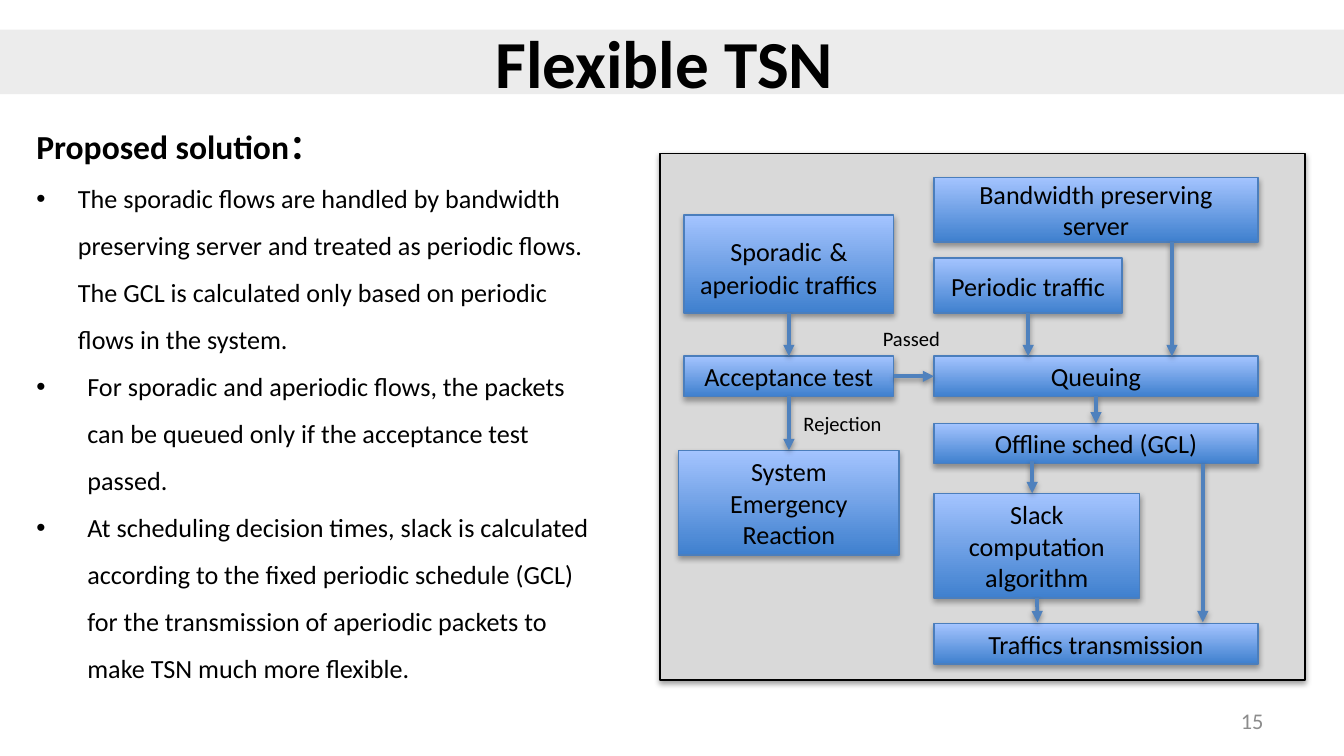
import pptx
import pptx.dml.color
import pptx.enum.shapes
import pptx.enum.text
import pptx.oxml
import pptx.oxml.ns
import pptx.util
from pptx.util import Inches

COLORS = {
    "text": "000000", "number": "8C8C8C", "band": "A6A6A6", "panel": "D9D9D9",
    "box_low": "3F80CE", "box_high": "A4C4FF", "box_line": "4B7EBC", "arrow": "4F81BD",
}
FONT = "Calibri"
TOP, LEFT, BOTTOM, RIGHT = range(4)
ALIGN = pptx.enum.text.PP_ALIGN
MIDDLE = pptx.enum.text.MSO_ANCHOR.MIDDLE
qn = pptx.oxml.ns.qn


def rgb(name):
    return pptx.dml.color.RGBColor.from_string(COLORS[name])


def element(xml):
    tag, rest = xml.split(" ", 1)
    return pptx.oxml.parse_xml(f"{tag} {pptx.oxml.ns.nsdecls('a')} {rest}")


class SlideBuilder:
    def __init__(self, slide):
        self.slide = slide

    def format_runs(self, paragraph, size, color="text", bold=False):
        for run in paragraph.runs:
            run.font.name = FONT
            run.font.size = pptx.util.Pt(size)
            run.font.bold = bold
            run.font.color.rgb = rgb(color)

    def place(self, shape, left, top, width, height):
        shape.left, shape.top = Inches(left), Inches(top)
        shape.width, shape.height = Inches(width), Inches(height)

    def add_shadow(self, shape, distance, alpha):
        properties = shape._element.spPr
        for old in properties.findall(qn("a:effectLst")):
            properties.remove(old)
        properties.append(element(
            f'<a:effectLst ><a:outerShdw blurRad="{pptx.util.Pt(3.1)}" '
            f'dist="{pptx.util.Pt(distance)}" dir="5400000" rotWithShape="0">'
            f'<a:srgbClr val="000000"><a:alpha val="{alpha * 1000}"/></a:srgbClr>'
            '</a:outerShdw></a:effectLst>'))

    def title(self, text, *position):
        title = self.slide.shapes.title
        self.place(title, *position)
        title.fill.solid()
        title.fill.fore_color.rgb = rgb("band")
        fill_color = title._element.spPr.find(qn("a:solidFill"))[0]
        fill_color.append(element('<a:alpha val="21000"/>'))
        frame = title.text_frame
        frame.text = text
        frame.auto_size = pptx.enum.text.MSO_AUTO_SIZE.NONE
        frame.vertical_anchor = MIDDLE
        frame.paragraphs[0].alignment = ALIGN.CENTER
        self.format_runs(frame.paragraphs[0], 36, bold=True)

    def body(self, heading, items, *position):
        body = self.slide.placeholders[1]
        self.place(body, *position)
        frame = body.text_frame
        frame.text = "\n".join([heading] + [text for text, _ in items])
        frame.auto_size = pptx.enum.text.MSO_AUTO_SIZE.NONE
        indents = [0] + [indent for _, indent in items]
        for paragraph, indent in zip(frame.paragraphs, indents):
            paragraph.line_spacing = 1.5
            paragraph.space_before = pptx.util.Pt(0)
            properties = paragraph._p.get_or_add_pPr()
            properties.set("marL", str(Inches(indent)))
            properties.set("indent", str(-Inches(indent)))
            bullet = '<a:buChar char="•"/>' if indent else "<a:buNone />"
            properties.append(element(bullet))
            self.format_runs(paragraph, 14 if indent else 18, bold=not indent)

    def label(self, text, *position, size=11, color="text", align=ALIGN.LEFT, wrap=True):
        box = self.slide.shapes.add_textbox(*map(Inches, position))
        frame = box.text_frame
        frame.text = text
        frame.word_wrap = wrap
        frame.paragraphs[0].alignment = align
        self.format_runs(frame.paragraphs[0], size, color)
        return box

    def rectangle(self, *position, line):
        shape = self.slide.shapes.add_shape(
            pptx.enum.shapes.MSO_SHAPE.RECTANGLE, *map(Inches, position))
        shape.shadow.inherit = False
        shape.line.color.rgb = rgb(line)
        shape.line.width = pptx.util.Pt(0.75)
        return shape

    def panel(self, *position):
        panel = self.rectangle(*position, line="text")
        panel.fill.solid()
        panel.fill.fore_color.rgb = rgb("panel")
        self.add_shadow(panel, 1.6, 38)

    def box(self, text, *position, more=()):
        box = self.rectangle(*position, line="box_line")
        box.fill.gradient()
        box.fill.gradient_angle = 90
        for stop, color in zip(box.fill.gradient_stops, ("box_low", "box_high")):
            stop.color.rgb = rgb(color)
        self.add_shadow(box, 1.8, 35)
        frame = box.text_frame
        frame.text = text
        frame.word_wrap = True
        frame.vertical_anchor = MIDDLE
        paragraph = frame.paragraphs[0]
        paragraph.alignment = ALIGN.CENTER
        for part in more:
            paragraph.add_run().text = part
        self.format_runs(paragraph, 14)
        return box

    def arrow(self, x1, y1, x2, y2, start=None, end=None):
        arrow = self.slide.shapes.add_connector(
            pptx.enum.shapes.MSO_CONNECTOR.STRAIGHT, *map(Inches, (x1, y1, x2, y2)))
        if start:
            arrow.begin_connect(*start)
        if end:
            arrow.end_connect(*end)
        arrow.line.color.rgb = rgb("arrow")
        arrow.line.width = pptx.util.Pt(2)
        arrow._element.spPr.find(qn("a:ln")).append(element('<a:tailEnd type="triangle"/>'))
        self.add_shadow(arrow, 1.6, 38)


def main():
    presentation = pptx.Presentation()
    presentation.slide_width = Inches(10)
    presentation.slide_height = Inches(10) * 9 // 16
    builder = SlideBuilder(presentation.slides.add_slide(presentation.slide_layouts[1]))

    # Title, explanation and slide number
    builder.title("Flexible TSN ", 0, 0.22, 10, 0.48)
    builder.body("Proposed solution：", [
        ("The sporadic flows are handled by bandwidth preserving server and treated as "
         "periodic flows. The GCL is calculated only based on periodic flows in the system.",
         0.31),
        ("For sporadic and aperiodic flows, the packets can be queued only if the "
         "acceptance test passed.", 0.38),
        ("At scheduling decision times, slack is calculated according to the fixed periodic "
         "schedule (GCL) for the transmission of aperiodic packets to make TSN much more "
         "flexible.", 0.38),
    ], 0.17, 0.74, 4.43, 4.41)
    number = builder.label("15", 7.17, 5.21, 2.33, 0.3, size=12, color="number",
                           align=ALIGN.RIGHT)
    number.text_frame.vertical_anchor = MIDDLE

    # Flow chart boxes
    builder.panel(4.91, 1.14, 4.8, 3.92)
    column, wide, row = 6.95, 2.41, 0.3
    builder.box("Bandwidth preserving server", column, 1.32, wide, 0.48)
    periodic = builder.box("Periodic traffic", column, 1.92, 1.4, 0.41)
    queuing = builder.box("Queuing", column, 2.65, wide, row)
    offline = builder.box("Offline sched (GCL)", column, 3.15, wide, row)
    slack = builder.box("Slack computation algorithm", column, 3.67, 1.53, 0.78)
    builder.box("Traffics transmission", column, 4.64, wide, row)
    sporadic = builder.box("Sporadic", 5.09, 1.6, 1.56, 0.73,
                           more=(" ", "& aperiodic traffics"))
    sporadic.text_frame.paragraphs[0].runs[1].font.size = pptx.util.Pt(18)
    acceptance = builder.box("Acceptance test", 5.09, 2.65, 1.56, row)
    emergency = builder.box("System Emergency Reaction", 5.05, 3.35, 1.64, 0.78)

    # Flow chart arrows
    builder.arrow(7.65, 2.33, 7.65, 2.65, start=(periodic, BOTTOM))
    builder.arrow(8.72, 1.8, 8.72, 2.65)
    builder.arrow(8.15, 2.95, 8.15, 3.15, (queuing, BOTTOM), (offline, TOP))
    builder.arrow(6.65, 2.8, 6.95, 2.8, (acceptance, RIGHT), (queuing, LEFT))
    builder.arrow(5.87, 2.33, 5.87, 2.65, (sporadic, BOTTOM), (acceptance, TOP))
    builder.arrow(5.87, 2.95, 5.87, 3.35, (acceptance, BOTTOM), (emergency, TOP))
    builder.arrow(7.68, 3.43, 7.68, 3.67)
    builder.arrow(8.95, 3.45, 8.95, 4.63)
    builder.arrow(7.72, 4.45, 7.72, 4.63, start=(slack, BOTTOM))

    # Outcomes of the acceptance test
    builder.label("Passed", 6.47, 2.38, 1.01, 0.29)
    builder.label("Rejection", 5.88, 3.01, 0.79, 0.29, wrap=False)

    presentation.save("out.pptx")


if __name__ == "__main__":
    main()
